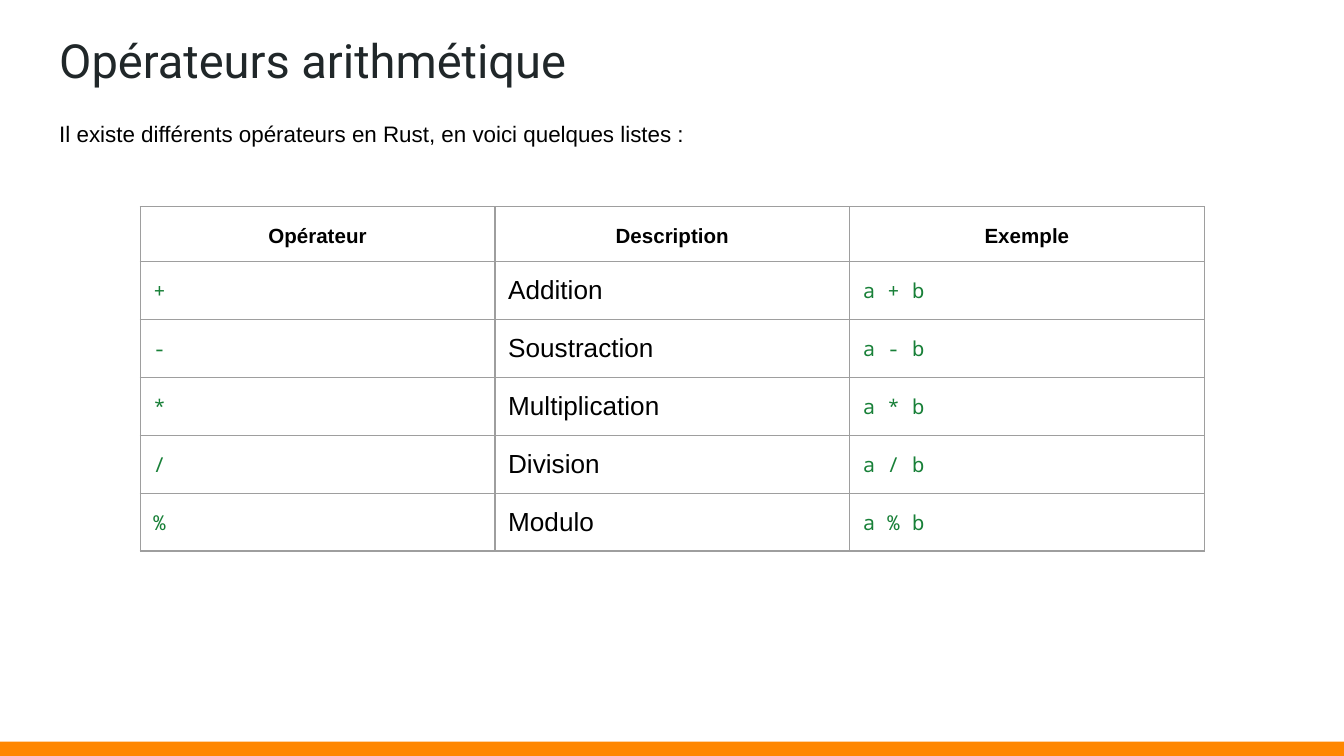
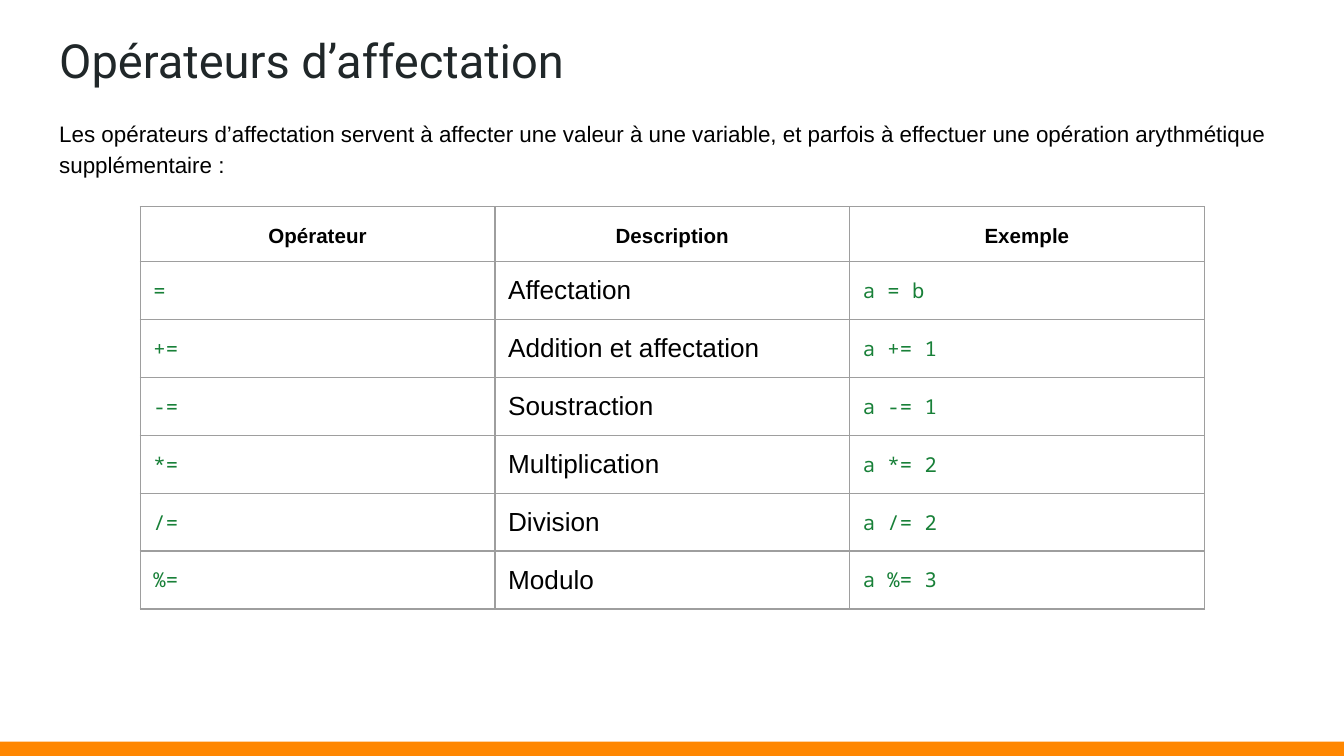
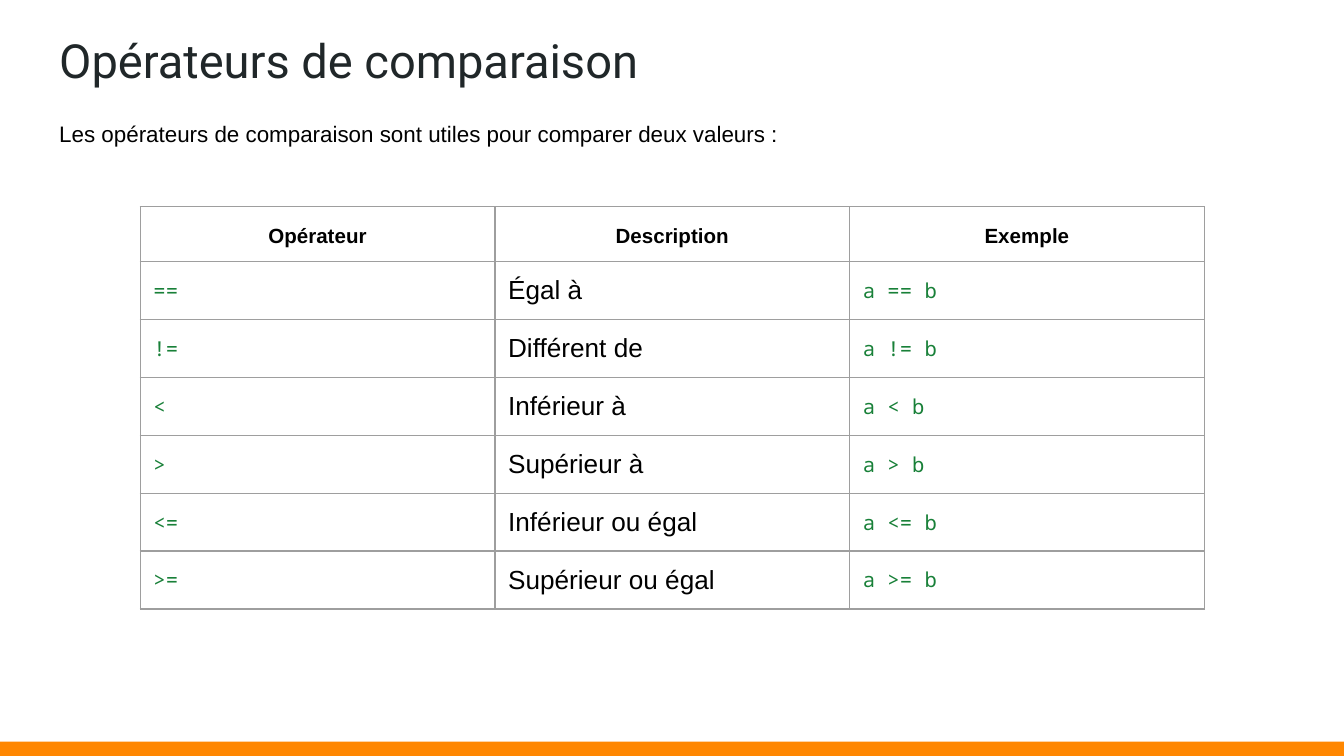
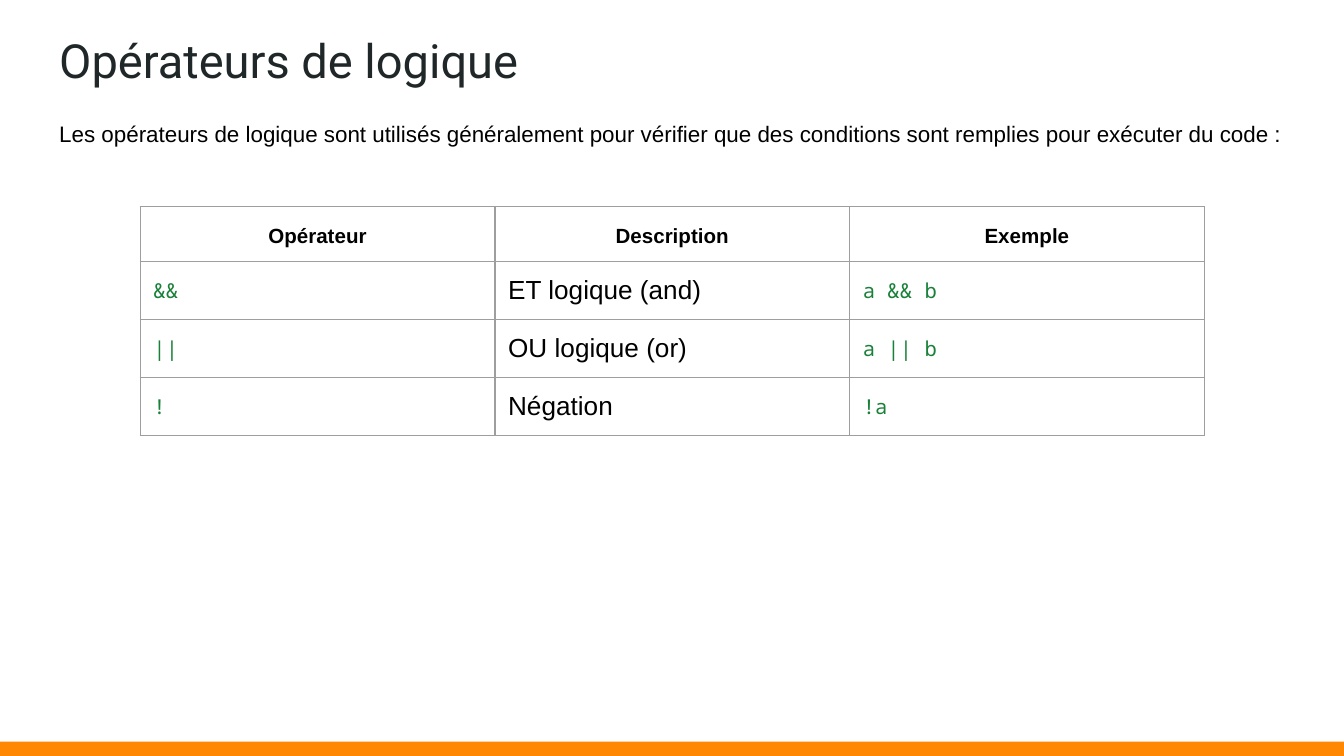
from dataclasses import dataclass
from typing import NamedTuple

from lxml.etree import SubElement
from pptx import Presentation
from pptx.dml.color import RGBColor
from pptx.enum.shapes import MSO_SHAPE
from pptx.enum.text import MSO_ANCHOR, PP_ALIGN
from pptx.oxml.ns import qn
from pptx.util import Cm, Pt


@dataclass(frozen=True)
class Theme:
    accent: str = "FF8701"
    title_color: str = "202729"
    text_color: str = "000000"
    code_color: str = "188038"
    border_color: str = "9E9E9E"
    title_font: str = "Roboto"
    text_font: str = "Arial"
    code_font: str = "Noto Sans Mono"
    title_size: float = 25.2
    text_size: float = 12
    small_size: float = 11
    description_size: float = 14
    border_width: float = 0.75
    line_spacing: float = 1.15


class Box(NamedTuple):
    left: float
    top: float
    width: float
    height: float

    def lengths(self):
        return [Cm(value) for value in self]


THEME = Theme()
PAGE = Box(0, 0, 25.4, 14.29)
BAND_HEIGHT = 0.27
TITLE_BOX = Box(0.87, 0.34, 23.66, 1.6)
BODY_BOX = Box(0.87, 1.94, 23.66, 11.83)
TABLE_BOX = Box(2.65, 3.91, 20.11, 7.4)
HEADER_HEIGHT = 1.0
ROW_HEIGHT = 1.06
INSET = 0.25

HEADERS = ("Opérateur", "Description", "Exemple")
SECTIONS = [
    (
        "Opérateurs arithmétique",
        "Il existe différents opérateurs en Rust, en voici quelques listes :",
        [
            ("+", "Addition", "a + b"),
            ("-", "Soustraction", "a - b"),
            ("*", "Multiplication", "a * b"),
            ("/", "Division", "a / b"),
            ("%", "Modulo", "a % b"),
        ],
    ),
    (
        "Opérateurs d’affectation",
        "Les opérateurs d’affectation servent à affecter une valeur à une variable, "
        "et parfois à effectuer une opération arythmétique supplémentaire :",
        [
            ("=", "Affectation", "a = b"),
            ("+=", "Addition et affectation", "a += 1"),
            ("-=", "Soustraction", "a -= 1"),
            ("*=", "Multiplication", "a *= 2"),
            ("/=", "Division", "a /= 2"),
            ("%=", "Modulo", "a %= 3"),
        ],
    ),
    (
        "Opérateurs de comparaison",
        "Les opérateurs de comparaison sont utiles pour comparer deux valeurs :",
        [
            ("==", "Égal à", "a == b"),
            ("!=", "Différent de", "a != b"),
            ("<", "Inférieur à", "a < b"),
            (">", "Supérieur à", "a > b"),
            ("<=", "Inférieur ou égal", "a <= b"),
            (">=", "Supérieur ou égal", "a >= b"),
        ],
    ),
    (
        "Opérateurs de logique",
        "Les opérateurs de logique sont utilisés généralement pour vérifier "
        "que des conditions sont remplies pour exécuter du code :",
        [
            ("&&", "ET logique (and)", "a && b"),
            ("||", "OU logique (or)", "a || b"),
            ("!", "Négation", "!a"),
        ],
    ),
]

TITLE_STYLE = dict(font=THEME.title_font, size=THEME.title_size, color=THEME.title_color)
BODY_STYLE = dict(size=THEME.text_size, spacing=THEME.line_spacing)
HEADER_STYLE = dict(
    size=THEME.small_size, bold=True, align=PP_ALIGN.CENTER, spacing=THEME.line_spacing
)
CODE_STYLE = dict(font=THEME.code_font, size=THEME.small_size, color=THEME.code_color)
DESCRIPTION_STYLE = dict(size=THEME.description_size)
COLUMN_STYLES = (CODE_STYLE, DESCRIPTION_STYLE, CODE_STYLE)


def write_text(frame, text, *, size, font=THEME.text_font, color=THEME.text_color,
               bold=False, align=PP_ALIGN.LEFT, spacing=1.0):
    paragraph = frame.paragraphs[0]
    paragraph.alignment = align
    paragraph.line_spacing = spacing
    run = paragraph.add_run()
    run.text = text
    run.font.name = font
    run.font.size = Pt(size)
    run.font.bold = bold
    run.font.color.rgb = RGBColor.from_string(color)


def set_insets(target):
    target.margin_left = target.margin_right = Cm(INSET)
    target.margin_top = target.margin_bottom = Cm(INSET)


def add_text(slide, box, text, **style):
    frame = slide.shapes.add_textbox(*box.lengths()).text_frame
    frame.word_wrap = True
    frame.vertical_anchor = MSO_ANCHOR.TOP
    set_insets(frame)
    write_text(frame, text, **style)


def add_band(slide, page):
    box = Box(page.left, page.top + page.height - BAND_HEIGHT, page.width, BAND_HEIGHT)
    band = slide.shapes.add_shape(MSO_SHAPE.RECTANGLE, *box.lengths())
    band.shadow.inherit = False
    band.fill.solid()
    band.fill.fore_color.rgb = RGBColor.from_string(THEME.accent)
    band.line.fill.background()


def set_borders(cell):
    properties = cell._tc.get_or_add_tcPr()
    for side in ("a:lnL", "a:lnR", "a:lnT", "a:lnB"):
        line = SubElement(properties, qn(side), w=str(Pt(THEME.border_width)))
        fill = SubElement(line, qn("a:solidFill"))
        SubElement(fill, qn("a:srgbClr"), val=THEME.border_color)


def fill_cell(cell, text, style):
    set_borders(cell)
    cell.fill.background()
    cell.vertical_anchor = MSO_ANCHOR.MIDDLE
    set_insets(cell)
    write_text(cell.text_frame, text, **style)


def add_operator_table(slide, box, operators):
    heights = [HEADER_HEIGHT] + [ROW_HEIGHT] * len(operators)
    table_box = box._replace(height=sum(heights))
    table = slide.shapes.add_table(
        len(heights), len(HEADERS), *table_box.lengths()
    ).table
    table.first_row = False
    table.horz_banding = False
    for column in table.columns:
        column.width = Cm(box.width / len(HEADERS))
    for row, height in zip(table.rows, heights):
        row.height = Cm(height)
    for column_index, header in enumerate(HEADERS):
        fill_cell(table.cell(0, column_index), header, HEADER_STYLE)
    for row_index, operator in enumerate(operators, start=1):
        for column_index, (text, style) in enumerate(zip(operator, COLUMN_STYLES)):
            fill_cell(table.cell(row_index, column_index), text, style)


def add_operator_slide(presentation, title, introduction, operators):
    slide = presentation.slides.add_slide(presentation.slide_layouts[6])
    add_band(slide, PAGE)
    add_text(slide, TITLE_BOX, title, **TITLE_STYLE)
    add_text(slide, BODY_BOX, introduction, **BODY_STYLE)
    add_operator_table(slide, TABLE_BOX, operators)


def main():
    presentation = Presentation()
    presentation.slide_width = Cm(PAGE.width)
    presentation.slide_height = Cm(PAGE.height)
    for section in SECTIONS:
        add_operator_slide(presentation, *section)
    presentation.save("out.pptx")


if __name__ == "__main__":
    main()
